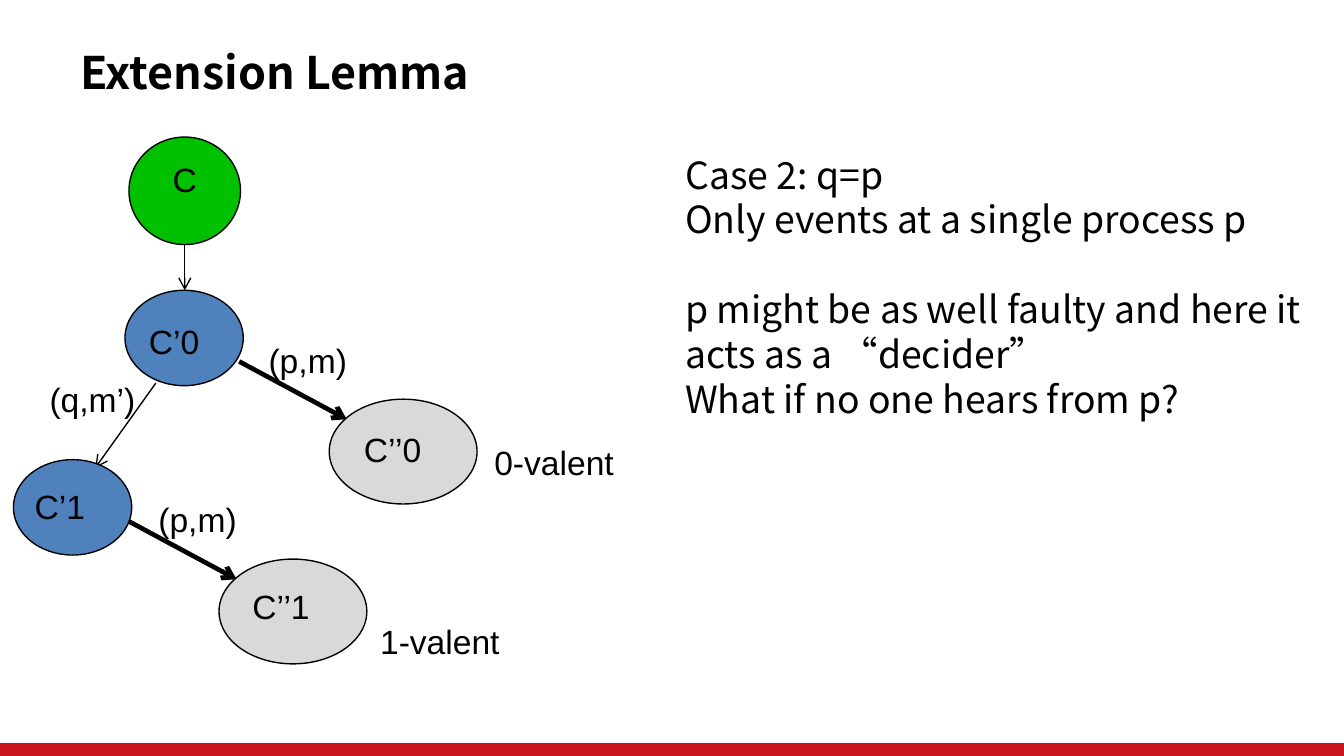
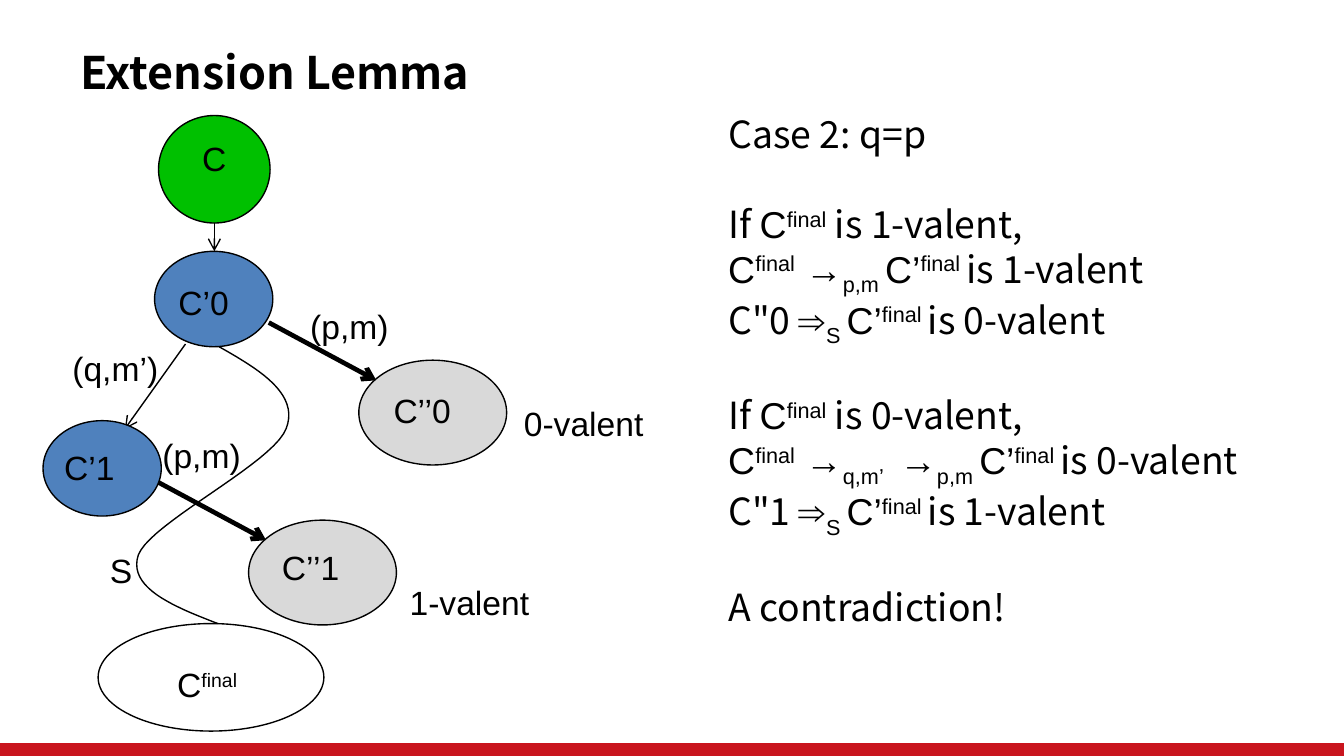
from dataclasses import dataclass
from typing import NamedTuple

import pptx
import pptx.dml.color
import pptx.enum.shapes
import pptx.enum.text
import pptx.oxml
import pptx.oxml.ns
import pptx.util

SHAPE = pptx.enum.shapes.MSO_SHAPE
ALIGN = pptx.enum.text.PP_ALIGN
ANCHOR = pptx.enum.text.MSO_ANCHOR
FIT = pptx.enum.text.MSO_AUTO_SIZE

# The grid: 100 columns by 56.25 rows, each cell a tenth of an inch
COLS, ROWS = 100, 56.25
CELL = pptx.util.Inches(0.1)


@dataclass(frozen=True)
class Theme:
    ink: str = "000000"
    red: str = "C9151E"
    green: str = "00C000"
    blue: str = "4F81BD"
    gray: str = "D9D9D9"
    sans: str = "Noto Sans CJK SC"
    plain: str = "Arial"
    title: float = 24
    body: float = 20
    label: float = 18
    gap: float = 24
    thin: float = 0.75
    thick: float = 2.5


THEME = Theme()


class Spot(NamedTuple):
    x: float
    y: float


class Box(NamedTuple):
    x: float
    y: float
    w: float
    h: float


class Run(NamedTuple):
    text: str
    base: int = 0
    face: str = THEME.plain


class Para(NamedTuple):
    runs: list[str | Run]
    gap: bool = False


class Edge(NamedTuple):
    start: Spot
    end: Spot
    width: float = THEME.thin


class Node(NamedTuple):
    box: Box
    fill: str
    edge: Edge | None = None


class Label(NamedTuple):
    text: str
    box: Box
    wrap: bool = False


def grid(*cells: float) -> list[int]:
    return [round(cell * CELL) for cell in cells]


def tint(name: str) -> pptx.dml.color.RGBColor:
    return pptx.dml.color.RGBColor.from_string(name)


def write(frame, paras: list[Para], *, size: float = THEME.label,
          face: str = THEME.plain, bold: bool = False, wrap: bool = True,
          align=ALIGN.LEFT, anchor=ANCHOR.TOP, fit=FIT.NONE) -> None:
    """Fill a text frame; plain strings take the given face."""
    frame.word_wrap = wrap
    frame.auto_size = fit
    frame.vertical_anchor = anchor
    for i, para in enumerate(paras):
        line = frame.add_paragraph() if i else frame.paragraphs[0]
        line.alignment = align
        if para.gap:
            line.space_before = pptx.util.Pt(THEME.gap)
        for part in para.runs:
            piece = part if isinstance(part, Run) else Run(part, face=face)
            run = line.add_run()
            run.text = piece.text
            font = run.font
            font.name, font.size, font.bold = piece.face, pptx.util.Pt(size), bold
            font.color.rgb = tint(THEME.ink)
            if piece.base:
                run._r.get_or_add_rPr().set("baseline", str(piece.base * 1000))


def place(slide, box: Box, paras: list[Para], **form) -> None:
    frame = slide.shapes.add_textbox(*grid(*box)).text_frame
    write(frame, paras, **form)


def paint(shape, fill: str | None, line: str | None) -> None:
    shape.shadow.inherit = False
    if fill:
        shape.fill.solid()
        shape.fill.fore_color.rgb = tint(fill)
    else:
        shape.fill.background()
    if line:
        shape.line.color.rgb = tint(line)
        shape.line.width = pptx.util.Pt(THEME.thin)
    else:
        shape.line.fill.background()


def oval(slide, box: Box, fill: str | None):
    shape = slide.shapes.add_shape(SHAPE.OVAL, *grid(*box))
    paint(shape, fill, THEME.ink)
    return shape


def arrow(slide, edge: Edge) -> None:
    link = slide.shapes.add_connector(
        pptx.enum.shapes.MSO_CONNECTOR.STRAIGHT, *grid(*edge.start, *edge.end))
    link.line.color.rgb = tint(THEME.ink)
    link.line.width = pptx.util.Pt(edge.width)
    head = pptx.oxml.parse_xml(
        f'<a:tailEnd {pptx.oxml.ns.nsdecls("a")} type="arrow"/>')
    link.line._get_or_add_ln().append(head)
    link._element.spPr.append(
        pptx.oxml.parse_xml(f'<a:effectLst {pptx.oxml.ns.nsdecls("a")}/>'))


def curve(slide, start: Spot, bends: list[tuple[Spot, Spot, Spot]],
          steps: int = 20) -> None:
    """Trace joined cubic curves as one open outline."""
    spots, a = [], start
    for b, c, d in bends:
        for i in range(1, steps + 1):
            t = i / steps
            u = 1 - t
            mix = (u ** 3, 3 * u * u * t, 3 * u * t * t, t ** 3)
            spots.append(grid(*(sum(m * p[k] for m, p in zip(mix, (a, b, c, d)))
                                for k in (0, 1))))
        a = d
    pen = slide.shapes.build_freeform(*grid(*start))
    pen.add_line_segments(spots, close=False)
    paint(pen.convert_to_shape(), None, THEME.ink)


# The tree, as it stands on the first slide
SMALL, LARGE = (8.8, 7.1), (11, 7.8)
NODES = [
    Node(Box(9.3, 21.6, *SMALL), THEME.blue),
    Node(Box(1, 34.2, *SMALL), THEME.blue,
         Edge(Spot(11.6, 28.5), Spot(7.1, 34.8))),
    Node(Box(24.5, 29.7, *LARGE), THEME.gray,
         Edge(Spot(17.8, 26.9), Spot(25.8, 31.2), THEME.thick)),
    Node(Box(16.3, 41.6, *LARGE), THEME.gray,
         Edge(Spot(9.6, 38.8), Spot(17.6, 43.1), THEME.thick)),
]
NAME, VALUE = (8.7, 4), (11, 4)
NAMES = [
    Label("C’0", Box(10.1, 23.4, *NAME), True),
    Label("C’1", Box(1.6, 35.7, *NAME), True),
    Label("C’’0", Box(26.1, 31.4, *NAME), True),
    Label("C’’1", Box(17.8, 43.1, *NAME), True),
    Label("0-valent", Box(35.8, 32.4, *VALUE)),
    Label("1-valent", Box(27.3, 45.7, *VALUE)),
]


def tag(slide, label: Label) -> None:
    place(slide, label.box, [Para([label.text])], wrap=label.wrap,
          fit=FIT.SHAPE_TO_FIT_TEXT)


def tree(slide, shift: Spot, top: float, marks: list[Spot]) -> None:
    """Draw the tree moved by shift, its root at top, step names at marks."""
    def move(spot: Spot) -> Spot:
        return Spot(spot.x + shift.x, spot.y + shift.y)

    def slip(box: Box) -> Box:
        return Box(*move(Spot(box.x, box.y)), box.w, box.h)

    for node in NODES:
        if node.edge:
            start, end, width = node.edge
            arrow(slide, Edge(move(start), move(end), width))
        oval(slide, slip(node.box), node.fill)
    for label in NAMES:
        tag(slide, label._replace(box=slip(label.box)))
    for text, spot, width in zip(("(p,m)", "(p,m)", "(q,m’)"), marks, (7.9, 7.9, 8.5)):
        tag(slide, Label(text, Box(*spot, width, 4)))

    # Root and its arrow
    root = Box(9.6 + shift.x, top, 8.3, 8)
    write(oval(slide, root, THEME.green).text_frame, [Para(["C"])], align=ALIGN.CENTER)
    x = root.x + root.w / 2
    arrow(slide, Edge(Spot(x, top + root.h), Spot(x, 21.6 + shift.y)))


def base(deck):
    """Add a slide with the shared title and foot band."""
    slide = deck.slides.add_slide(deck.slide_layouts[6])
    band = slide.shapes.add_shape(SHAPE.RECTANGLE, *grid(0, 55.3, COLS, ROWS - 55.3))
    paint(band, THEME.red, None)
    place(slide, Box(5, 2.9, 69.6, 4.9), [Para(["Extension Lemma"])],
          size=THEME.title, face=THEME.sans, bold=True, anchor=ANCHOR.MIDDLE)
    return slide


def prose(slide, box: Box, paras: list[Para]) -> None:
    place(slide, box, paras, size=THEME.body, face=THEME.sans,
          fit=FIT.SHAPE_TO_FIT_TEXT)


def case(slide) -> None:
    tree(slide, Spot(0, 0), 10.2,
         [Spot(19, 24.8), Spot(10.8, 36.6), Spot(2.7, 27.7)])
    prose(slide, Box(50, 10.8, 49, 24.6), [
        Para(["Case 2: q=p"]),
        Para(["Only events at a single process p"]),
        Para(["p might be as well faulty and here it acts as a “decider”"], True),
        Para(["What if no one hears from p?"]),
    ])


def proof(slide) -> None:
    tree(slide, Spot(2.2, -2.9), 8.6,
         [Spot(22.1, 22.3), Spot(11.1, 31.9), Spot(4.4, 25.4)])

    # Run S down to the final state
    curve(slide, Spot(16.3, 25.8), [
        (Spot(19.3, 27.5), Spot(22.3, 29.3), Spot(21.3, 31.9)),
        (Spot(20.3, 34.5), Spot(11.2, 38.9), Spot(10.3, 41.3)),
        (Spot(9.5, 43.7), Spot(12.8, 45.1), Spot(16.2, 46.4)),
    ])
    oval(slide, Box(7.3, 46.4, 16.8, 8), None)
    final = [Run("C"), Run("final", 30)]
    place(slide, Box(12.2, 48.9, 6.9, 4), [Para(final)], wrap=False,
          fit=FIT.SHAPE_TO_FIT_TEXT)
    tag(slide, Label("S", Box(7.2, 40.4, 3.7, 4)))

    # Both halves of the proof
    after = [Run("C’"), Run("final ", 30)]
    step = [Run(" →"), Run("p,m ", -25)]
    first = [Run(" →"), Run("q,m’ ", -25)]

    def half(one: int, other: int, steps: list[Run]) -> list[Para]:
        return [
            Para(["If ", *final, f" is {one}-valent,"], True),
            Para([*final, *steps, *after, f"is {one}-valent"]),
            Para([f'C"{other} ', Run("⇒"), Run("S ", -25), *after,
                  f"is {other}-valent"]),
        ]

    prose(slide, Box(53.2, 7.8, 45.5, 41.4), [
        Para(["Case 2: q=p"]),
        *half(1, 0, step),
        *half(0, 1, first + step),
        Para(["A contradiction!"], True),
    ])


def main() -> None:
    deck = pptx.Presentation()
    deck.slide_width, deck.slide_height = grid(COLS, ROWS)
    for draw in (case, proof):
        draw(base(deck))
    deck.save("out.pptx")


if __name__ == "__main__":
    main()
